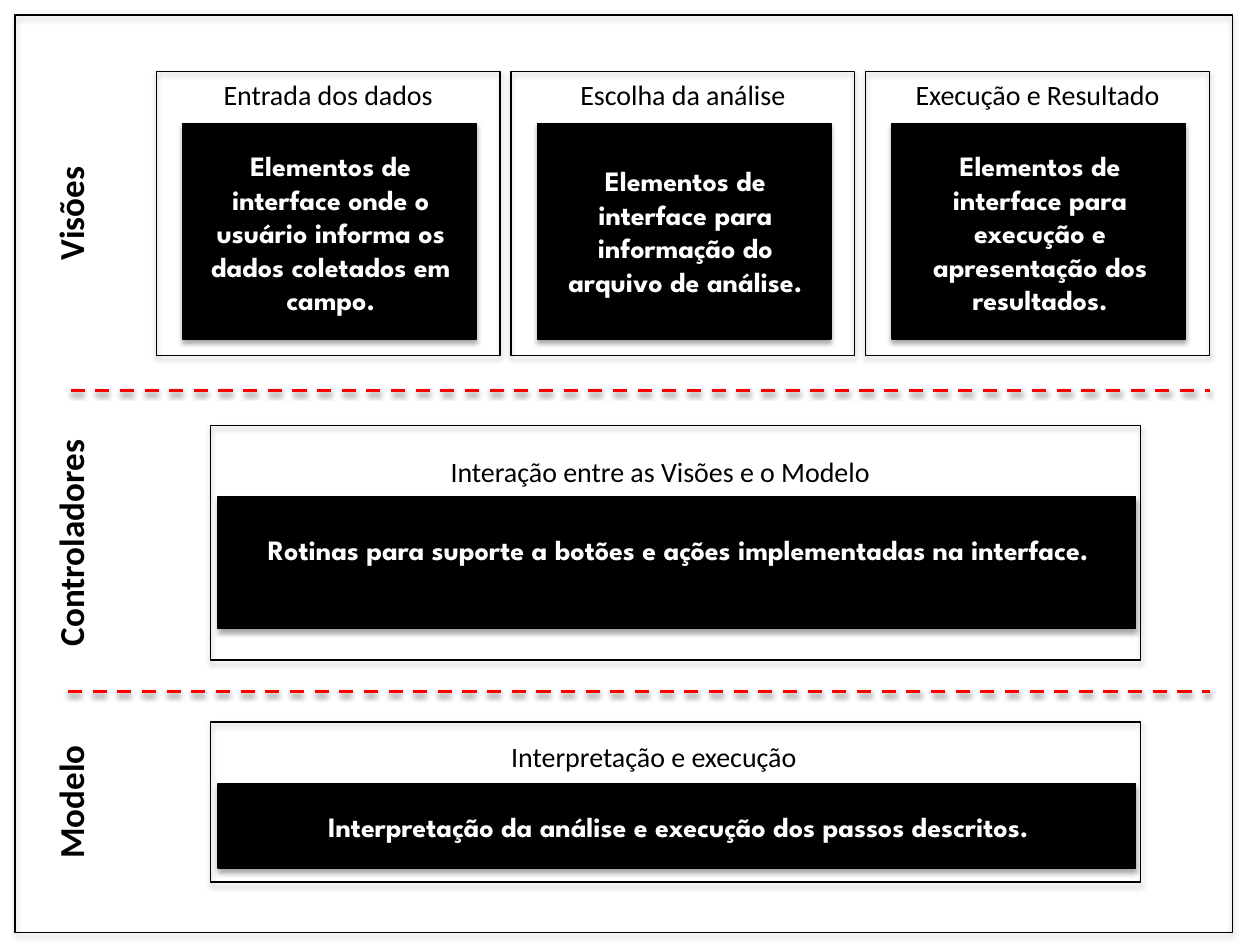
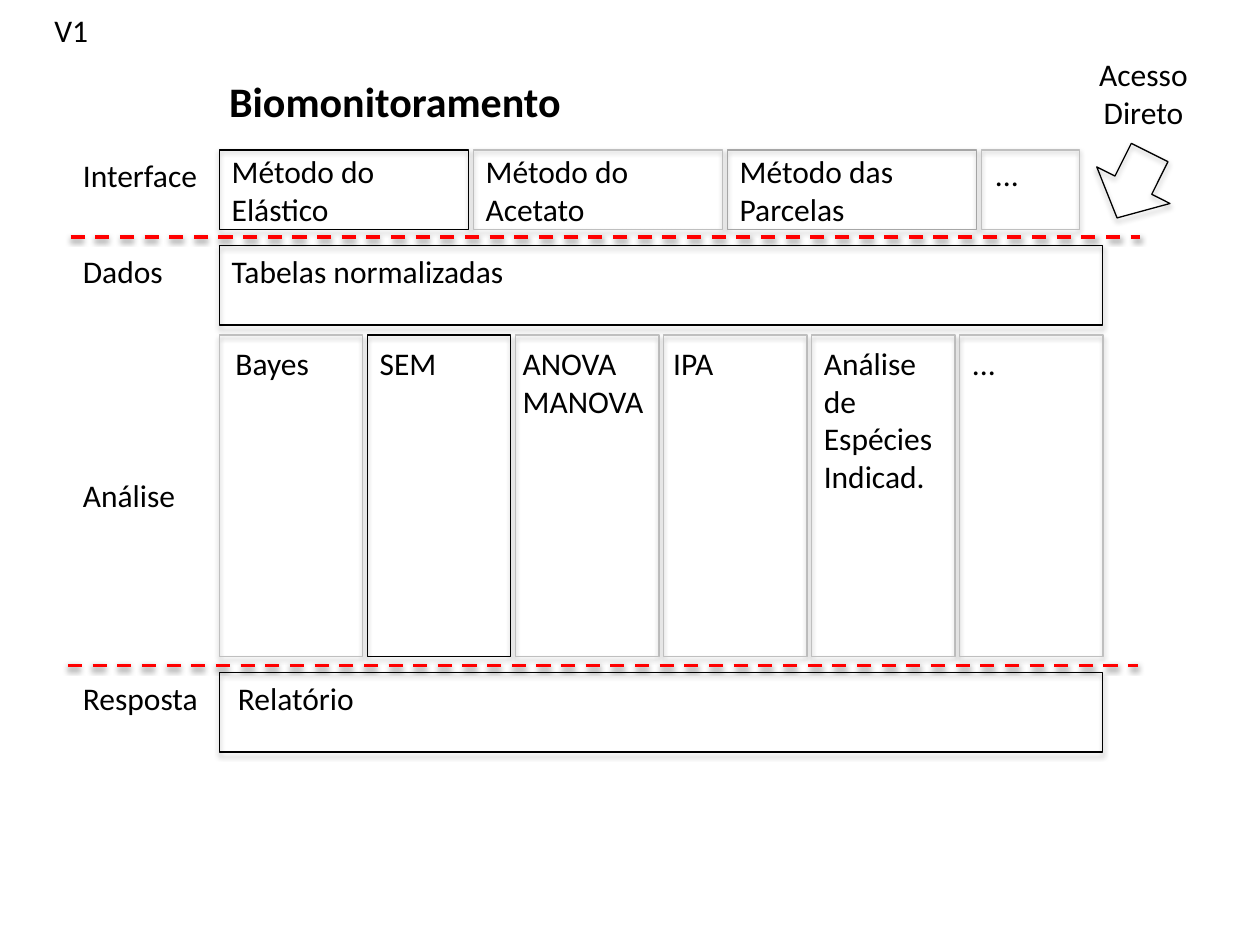
from lxml.etree import SubElement
from pptx import Presentation
from pptx.dml.color import RGBColor
from pptx.enum.dml import MSO_LINE
from pptx.enum.shapes import MSO_CONNECTOR, MSO_SHAPE
from pptx.enum.text import MSO_AUTO_SIZE, PP_ALIGN
from pptx.oxml.ns import qn
from pptx.util import Inches, Pt

BLACK = RGBColor(0x00, 0x00, 0x00)
WHITE = RGBColor(0xFF, 0xFF, 0xFF)
RED = RGBColor(0xFF, 0x00, 0x00)
GREY = RGBColor(0xA6, 0xA6, 0xA6)
PALE = RGBColor(0xBF, 0xBF, 0xBF)
BODY = "Calibri"
STRONG = "League Spartan"


# Shared parts
def add_shadow(item, dist, alpha):
    effects = SubElement(item._element.spPr, qn("a:effectLst"))
    outer = SubElement(effects, qn("a:outerShdw"), blurRad=str(Pt(3.1)),
                       dist=str(Pt(dist)), dir="5400000", rotWithShape="0")
    color = SubElement(outer, qn("a:srgbClr"), val=str(BLACK))
    SubElement(color, qn("a:alpha"), val=str(alpha * 1000))


def add_box(slide, x, y, w, h, edge=BLACK, fill=None, kind=MSO_SHAPE.RECTANGLE):
    box = slide.shapes.add_shape(kind, Inches(x), Inches(y), Inches(w), Inches(h))
    if fill is None:
        box.fill.background()
    else:
        box.fill.solid()
        box.fill.fore_color.rgb = fill
    box.line.color.rgb = edge
    box.line.width = Pt(0.75)
    add_shadow(box, 1.8, 35)
    return box


def add_text(slide, x, y, w, h, text, size=18, font=BODY, color=BLACK,
             bold=False, align=PP_ALIGN.LEFT, wrap=True):
    frame = slide.shapes.add_textbox(
        Inches(x), Inches(y), Inches(w), Inches(h)).text_frame
    frame.word_wrap = wrap
    frame.auto_size = MSO_AUTO_SIZE.SHAPE_TO_FIT_TEXT
    frame.text = text
    for para in frame.paragraphs:
        para.alignment = align
        para.font.size = Pt(size)
        para.font.name = font
        para.font.bold = bold
        para.font.color.rgb = color
    return frame


def add_rule(slide, left, right, y):
    rule = slide.shapes.add_connector(
        MSO_CONNECTOR.STRAIGHT, Inches(left), Inches(y), Inches(right), Inches(y))
    rule.line.color.rgb = RED
    rule.line.width = Pt(2)
    rule.line.dash_style = MSO_LINE.DASH
    add_shadow(rule, 1.6, 38)


# Slide 1: layers of the software
def add_side(slide, y, h, name):
    frame = add_text(slide, 0.34, y, 0.54, h, name, 20, bold=True,
                     align=PP_ALIGN.CENTER)
    frame._txBody.bodyPr.set("vert", "vert270")


def add_head(slide, x, y, w, text):
    add_text(slide, x, y, w, 0.37, text, 16, align=PP_ALIGN.CENTER)


def add_note(slide, x, y, w, h, text):
    add_text(slide, x, y, w, h, text, 16, STRONG, WHITE, True, PP_ALIGN.CENTER)


def add_view(slide, x, y, head, note, drop, tall):
    add_box(slide, x + 0.21, y + 0.41, 2.33, 1.71, fill=BLACK)
    add_note(slide, x + 0.23, y + drop, 2.31, tall, note)
    add_box(slide, x, y, 2.73, 2.25)
    add_head(slide, x, y, 2.73, head)


def add_layer(slide, x, y, h, head, head_at, band_at, note, note_at):
    """Each *_at holds offsets from the corner of the layer."""
    add_box(slide, x, y, 7.38, h)
    top, tall = band_at
    add_box(slide, x + 0.06, y + top, 7.28, tall, fill=BLACK)
    left, top = head_at
    add_head(slide, x + left, y + top, 7.04, head)
    top, tall = note_at
    add_note(slide, x + 0.1, y + top, 7.23, tall, note)


def build_layers(slide):
    add_box(slide, 0.12, 0.12, 9.66, 7.28)
    for y, h, name in ((0.57, 2.25, "Visões"), (3.38, 1.86, "Controladores"),
                       (5.73, 1.27, "Modelo")):
        add_side(slide, y, h, name)

    views = (
        ("Entrada dos dados", "Elementos de interface onde o usuário informa "
         "os dados coletados em campo.", 0.56, 1.45),
        ("Escolha da análise", "Elementos de interface para informação do "
         "arquivo de análise.", 0.68, 1.18),
        ("Execução e Resultado", "Elementos de interface para execução e "
         "apresentação dos resultados.", 0.56, 1.45),
    )
    for i, view in enumerate(views):
        add_view(slide, 1.24 + 2.815 * i, 0.57, *view)

    add_layer(slide, 1.67, 3.38, 1.86, "Interação entre as Visões e o Modelo",
              (0.05, 0.18), (0.56, 1.05),
              "Rotinas para suporte a botões e ações implementadas na interface.",
              (0.8, 0.64))
    add_layer(slide, 1.67, 5.73, 1.27, "Interpretação e execução",
              (0, 0.09), (0.49, 0.67),
              "Interpretação da análise e execução dos passos descritos.",
              (0.65, 0.37))
    add_rule(slide, 0.56, 9.6, 3.1)
    add_rule(slide, 0.54, 9.6, 5.49)


# Slide 2: structure of the first version
def add_methods(slide, x, y):
    methods = (("Método do\nElástico", BLACK), ("Método do\nAcetato", PALE),
               ("Método das\nParcelas", GREY))
    step = 2.016
    for i, (name, edge) in enumerate(methods):
        add_box(slide, x + step * i, y, 1.98, 0.63, edge)
        add_text(slide, x + step * i, y - 0.03, 1.98, 0.71, name)
    more = x + step * len(methods)
    add_box(slide, more, y, 0.78, 0.63, PALE)
    add_text(slide, more + 0.01, y - 0.01, 0.6, 0.4, "...")


def add_bar(slide, x, y, text, inset, w):
    add_box(slide, x, y, 7.01, 0.63)
    add_text(slide, x + inset, y, w, 0.4, text, wrap=False)


def add_tests(slide, x, y):
    # name, edge, text inset, text width, text height
    tests = (("Bayes", PALE, 0.03, 0.81, 0.4), ("SEM", BLACK, 0, 0.66, 0.4),
             ("ANOVA\nMANOVA", PALE, -0.04, 1.18, 0.71),
             ("IPA", PALE, -0.02, 0.54, 0.4),
             ("Análise\nde\nEspécies\nIndicad.", PALE, 0, 1.07, 1.31),
             ("...", PALE, 0, 0.39, 0.4))
    for i, (name, edge, inset, w, h) in enumerate(tests):
        left = x + 1.175 * i
        add_box(slide, left, y, 1.14, 2.55, edge)
        add_text(slide, left + inset, y + 0.02, w, h, name, wrap=False)


def add_access(slide, x, y):
    add_text(slide, x, y, 0.99, 0.71, "Acesso\nDireto", align=PP_ALIGN.CENTER)
    arrow = add_box(slide, x + 0.09, y + 0.79, 0.65, 0.58,
                    kind=MSO_SHAPE.DOWN_ARROW)
    arrow.rotation = 26.5


def build_version(slide):
    add_text(slide, 0.07, 0.04, 0.99, 0.4, "V1", align=PP_ALIGN.CENTER)
    add_text(slide, 1.72, 0.55, 2.89, 0.5, "Biomonitoramento", 24, bold=True)
    for y, name in ((1.19, "Interface"), (1.95, "Dados"), (3.73, "Análise"),
                    (5.34, "Resposta")):
        add_text(slide, 0.56, y, 1.16, 0.4, name)
    add_methods(slide, 1.74, 1.19)
    add_bar(slide, 1.74, 1.95, "Tabelas normalizadas", 0, 2.4)
    add_tests(slide, 1.74, 2.66)
    add_bar(slide, 1.74, 5.34, "Relatório", 0.05, 1.14)
    add_access(slide, 8.58, 0.39)
    add_rule(slide, 0.56, 9.05, 1.88)
    add_rule(slide, 0.54, 9.03, 5.28)


deck = Presentation()
deck.slide_width = Inches(10)
deck.slide_height = Inches(7.5)
blank = deck.slide_layouts[6]
for build in (build_layers, build_version):
    build(deck.slides.add_slide(blank))
deck.save("out.pptx")
